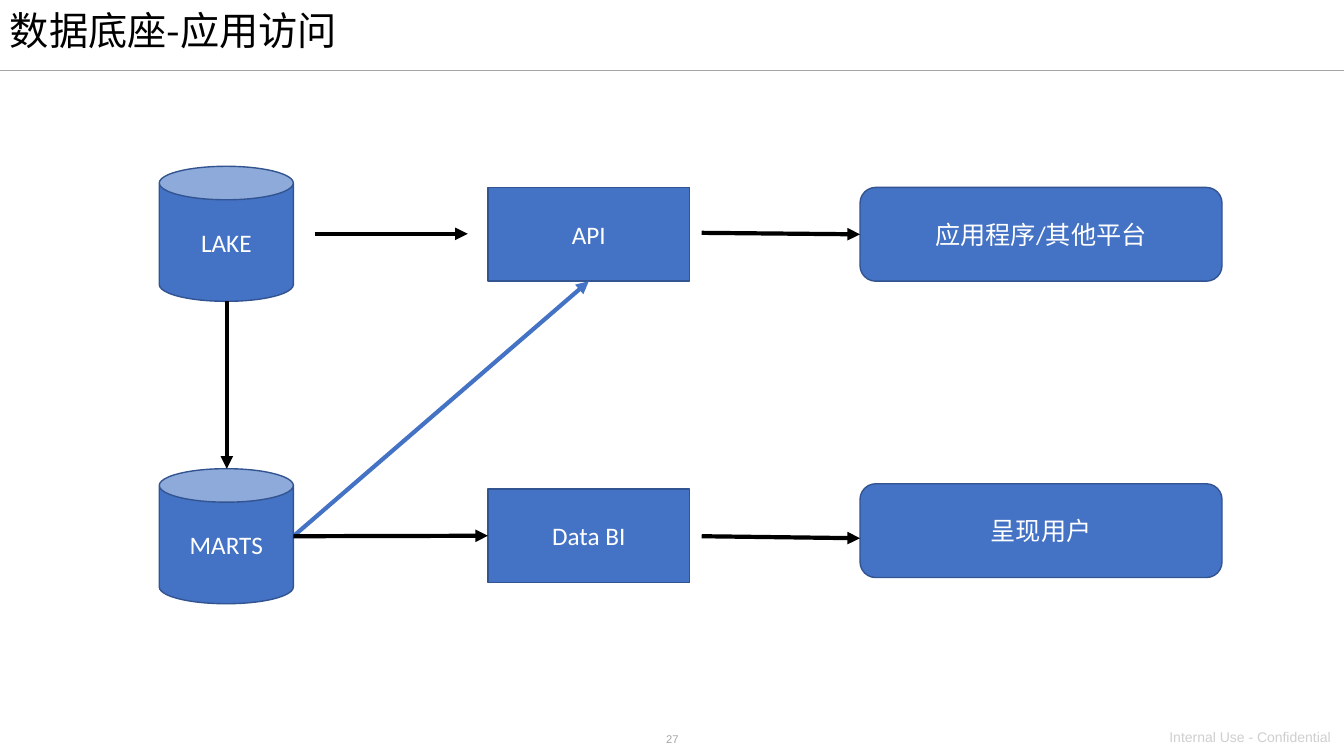
"""Build the slide on how applications reach the data foundation."""
from dataclasses import dataclass
from typing import Optional

from pptx import Presentation
from pptx.dml.color import RGBColor
from pptx.enum.shapes import MSO_CONNECTOR, MSO_SHAPE
from pptx.enum.text import MSO_ANCHOR, PP_ALIGN
from pptx.oxml.ns import qn
from pptx.util import Inches, Pt

CAN = MSO_SHAPE.CAN
PROCESS = MSO_SHAPE.FLOWCHART_PROCESS
ROUNDED = MSO_SHAPE.FLOWCHART_ALTERNATE_PROCESS
STRAIGHT = MSO_CONNECTOR.STRAIGHT
MIDDLE = MSO_ANCHOR.MIDDLE
TOP = MSO_ANCHOR.TOP
LEFT = PP_ALIGN.LEFT
CENTER = PP_ALIGN.CENTER

CJK_FONT = "Noto Sans CJK SC"
BLUE, BLACK, WHITE = "4472C4", "000000", "FFFFFF"
OUTLINE, GREY, PALE = "325491", "A6A6A6", "D0CECE"
BOTTOM_SIDE, LEFT_SIDE = 2, 1
STORE_SIZE = (1.33, 1.34)
SERVICE_SIZE = (2, 0.93)
CONSUMER_SIZE = (3.59, 0.93)


@dataclass(frozen=True)
class Node:
    label: str
    preset: MSO_SHAPE
    left: float
    top: float
    size: tuple[float, float]


@dataclass(frozen=True)
class Flow:
    start: tuple[float, float]
    end: tuple[float, float]
    target: Optional[Node] = None
    side: int = LEFT_SIDE
    color: str = BLACK


@dataclass(frozen=True)
class Caption:
    text: str
    box: tuple[float, float, float, float]
    size: int
    font: str
    color: str
    align: PP_ALIGN = LEFT
    anchor: MSO_ANCHOR = TOP
    spacing: float = 1.0


LAKE = Node("LAKE", CAN, 1.58, 1.65, STORE_SIZE)
MARTS = Node("MARTS", CAN, 1.58, 4.65, STORE_SIZE)
API = Node("API", PROCESS, 4.84, 1.86, SERVICE_SIZE)
REPORTS = Node("Data BI", PROCESS, 4.84, 4.85, SERVICE_SIZE)
PLATFORMS = Node("应用程序/其他平台", ROUNDED, 8.53, 1.86, CONSUMER_SIZE)
USERS = Node("呈现用户", ROUNDED, 8.53, 4.8, CONSUMER_SIZE)
NODES = (LAKE, MARTS, API, REPORTS, PLATFORMS, USERS)

FLOWS = (
    Flow((2.25, 2.99), (2.25, 4.65)),
    Flow((2.91, 5.32), (5.84, 2.79), API, BOTTOM_SIDE, BLUE),
    Flow((6.96, 2.31), (8.53, 2.32), PLATFORMS),
    Flow((2.91, 5.32), (4.84, 5.31), REPORTS),
    Flow((6.96, 5.32), (8.53, 5.34)),
    Flow((3.12, 2.32), (4.64, 2.32)),
)

CAPTIONS = (
    Caption("27", (5.79, 7.22, 1.76, 0.24), 8, "Arial", GREY, CENTER),
    Caption("Internal Use - Confidential", (11.5, 7.18, 1.84, 0.27), 10, "Arial", PALE),
    Caption("数据底座-应用访问", (0, 0, 9.86, 0.66), 28, CJK_FONT, BLACK,
            anchor=MIDDLE, spacing=0.9),
)


def rgb(value: str) -> RGBColor:
    return RGBColor.from_string(value)


def write(frame, text: str, size: int, font: str, color: str,
          align: PP_ALIGN, anchor: MSO_ANCHOR) -> None:
    frame.word_wrap = True
    frame.vertical_anchor = anchor
    paragraph = frame.paragraphs[0]
    paragraph.text = text
    paragraph.alignment = align
    paragraph.font.size = Pt(size)
    paragraph.font.name = font
    paragraph.font.color.rgb = rgb(color)
    defaults = paragraph.font._element
    east_asian = defaults.makeelement(qn("a:ea"), {"typeface": CJK_FONT})
    defaults.find(qn("a:latin")).addnext(east_asian)


def draw_caption(slide, caption: Caption) -> None:
    frame = slide.shapes.add_textbox(*map(Inches, caption.box)).text_frame
    write(frame, caption.text, caption.size, caption.font, caption.color,
          caption.align, caption.anchor)
    frame.paragraphs[0].line_spacing = caption.spacing


def draw_node(slide, node: Node):
    shape = slide.shapes.add_shape(
        node.preset, *map(Inches, (node.left, node.top, *node.size)))
    shape.shadow.inherit = False
    shape.fill.solid()
    shape.fill.fore_color.rgb = rgb(BLUE)
    shape.line.color.rgb = rgb(OUTLINE)
    shape.line.width = Pt(1)
    write(shape.text_frame, node.label, 18, "Calibri", WHITE, CENTER, MIDDLE)
    return shape


def draw_line(slide, start: tuple[float, float], end: tuple[float, float],
              color: str, width: float):
    line = slide.shapes.add_connector(STRAIGHT, *map(Inches, (*start, *end)))
    line.line.color.rgb = rgb(color)
    line.line.width = Pt(width)
    properties = line._element.spPr
    properties.append(properties.makeelement(qn("a:effectLst"), {}))
    return line


def draw_flow(slide, flow: Flow, shapes: dict) -> None:
    arrow = draw_line(slide, flow.start, flow.end, flow.color, 3)
    stroke = arrow.line._get_or_add_ln()
    stroke.append(stroke.makeelement(qn("a:tailEnd"), {"type": "triangle"}))
    if flow.target:
        arrow.end_connect(shapes[flow.target], flow.side)


def main() -> None:
    deck = Presentation()
    deck.slide_width, deck.slide_height = Inches(13.33), Inches(7.5)
    slide = deck.slides.add_slide(deck.slide_layouts[6])
    draw_line(slide, (0, 0.7), (13.33, 0.7), GREY, 1)
    for caption in CAPTIONS:
        draw_caption(slide, caption)
    shapes = {node: draw_node(slide, node) for node in NODES}
    for flow in FLOWS:
        draw_flow(slide, flow, shapes)
    deck.save("out.pptx")


if __name__ == "__main__":
    main()
